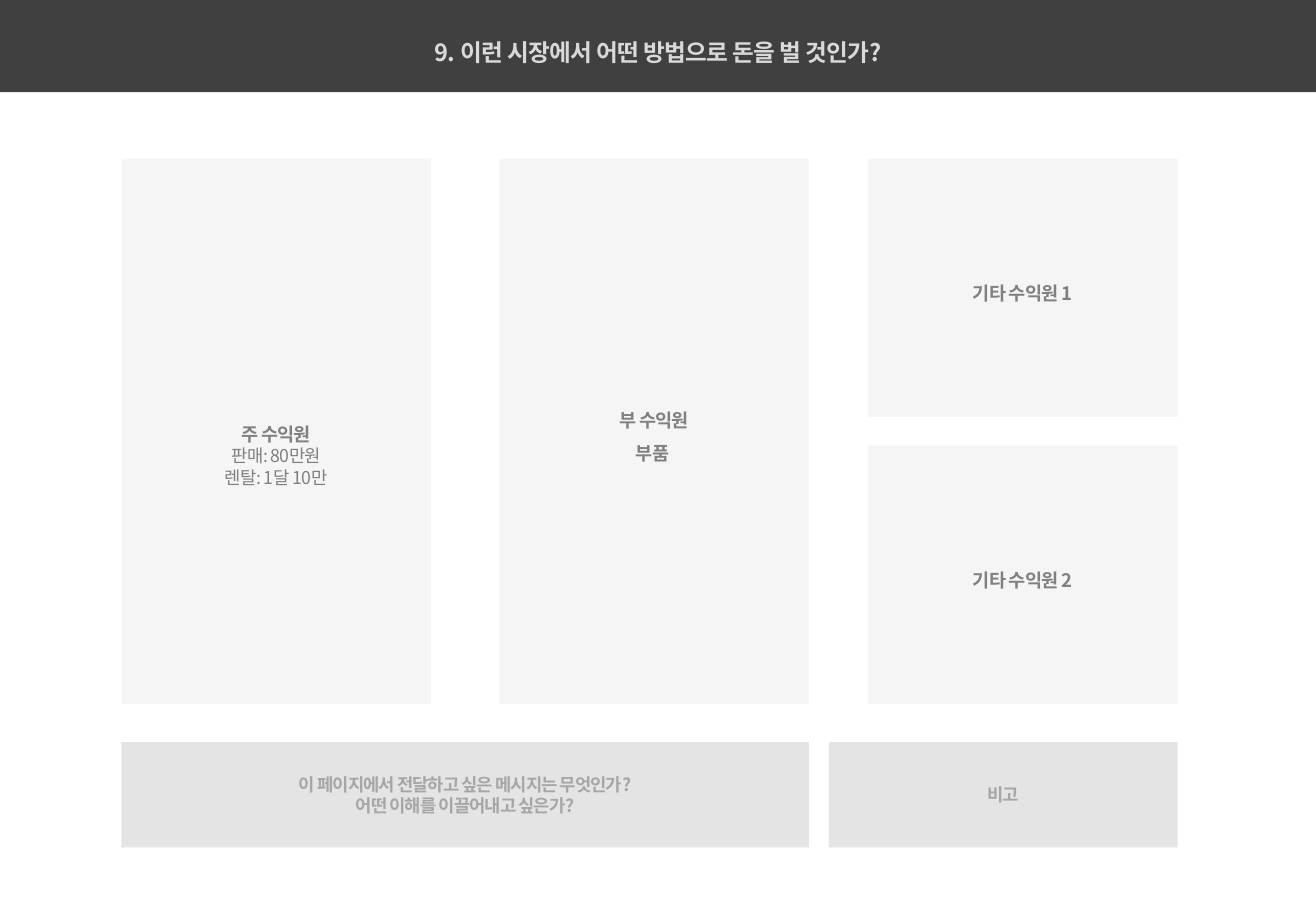
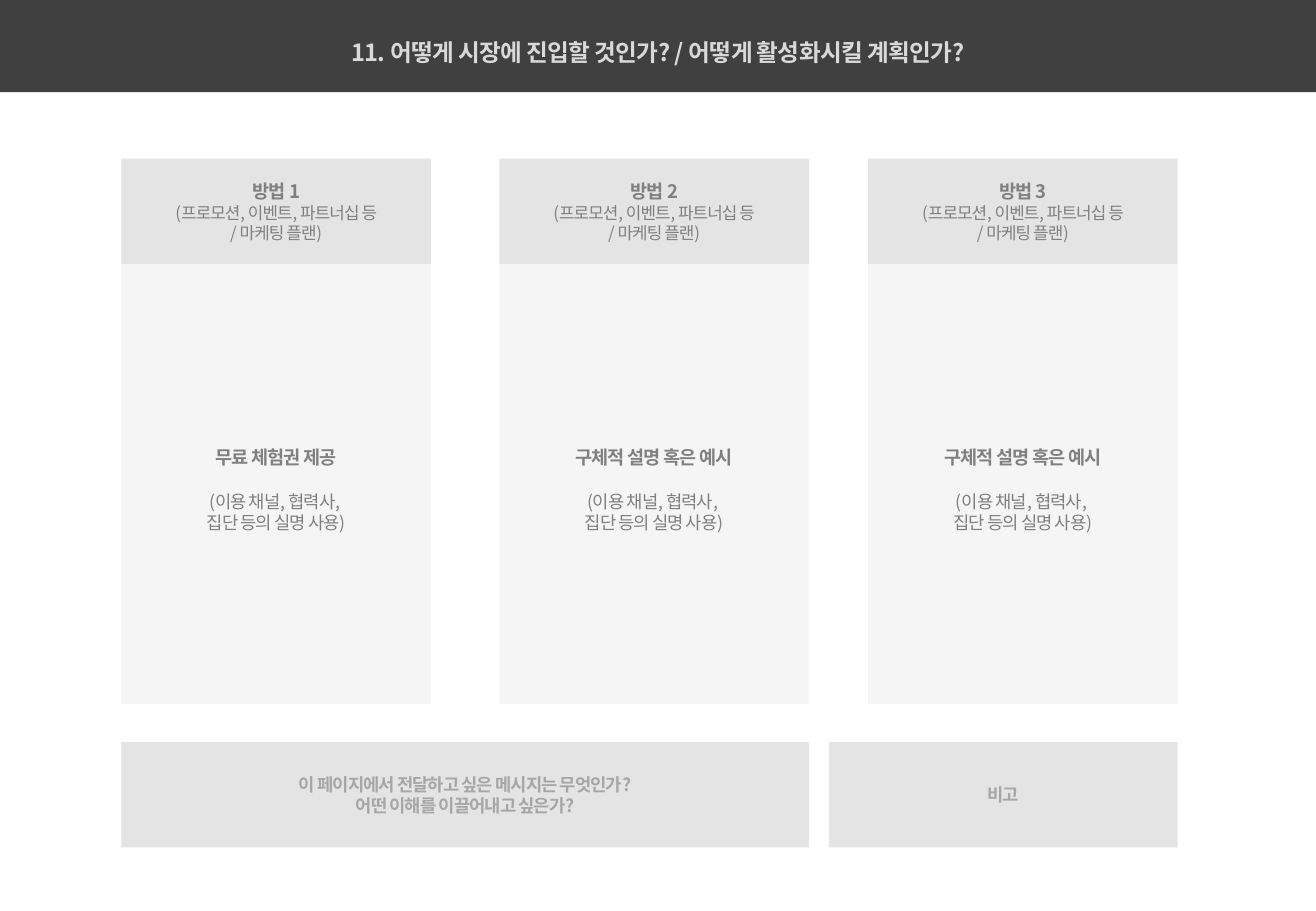
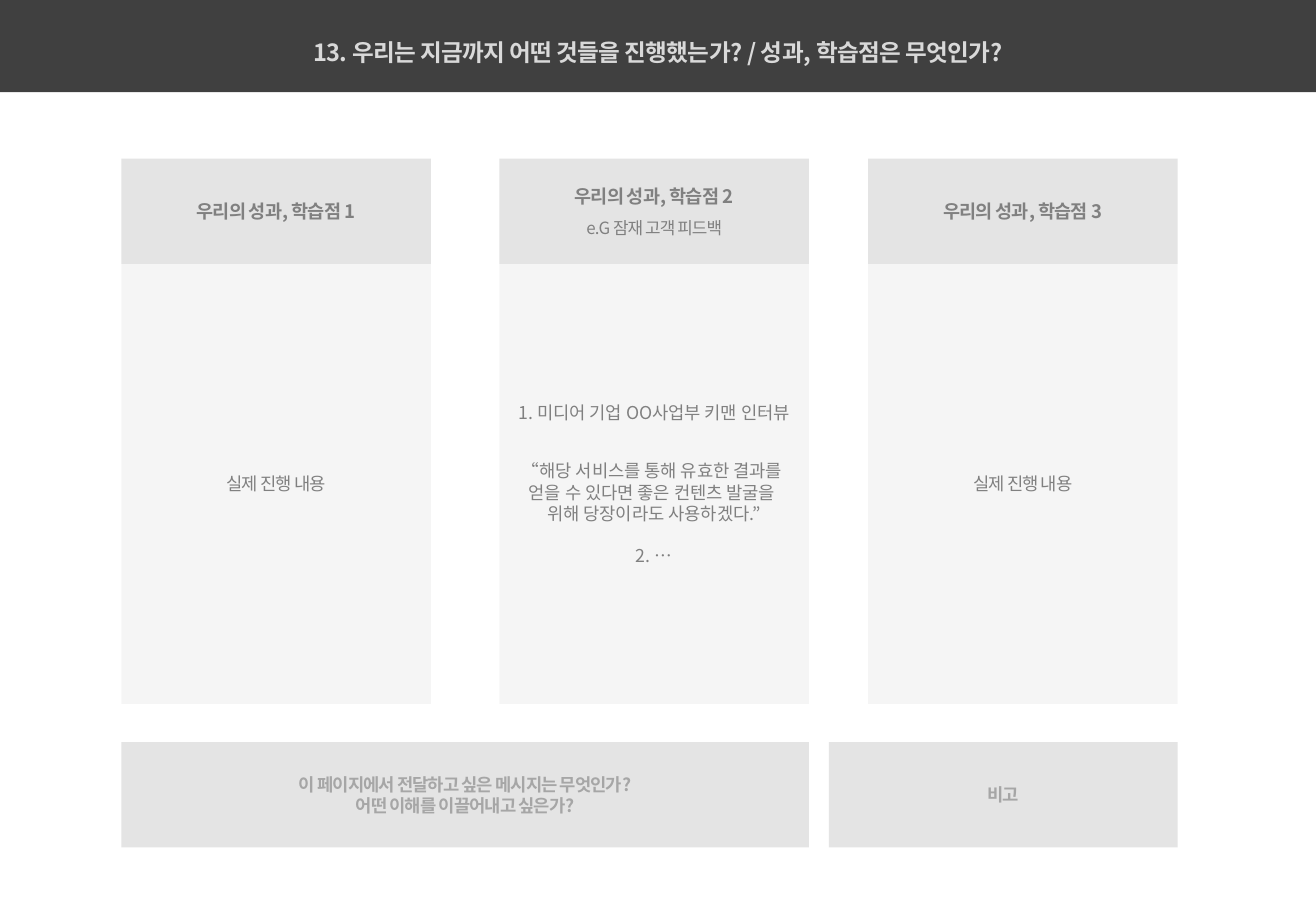
from dataclasses import dataclass

from lxml.etree import SubElement
from pptx import Presentation
from pptx.dml.color import RGBColor as Rgb
from pptx.enum.shapes import MSO_SHAPE as Preset
from pptx.enum.text import MSO_ANCHOR as Anchor, PP_ALIGN as Align
from pptx.oxml.ns import qn
from pptx.util import Cm, Pt


# Theme: colours, type styles and font shared by all slides
@dataclass(frozen=True)
class Style:
    size: float
    color: str
    bold: bool = False
    spacing: float = -0.5  # letter spacing in points


@dataclass(frozen=True)
class Theme:
    font: str = "Noto Sans CJK KR"
    band: str = "404040"
    strong: str = "D9D9D9"
    soft: str = "F2F2F2"
    opacity: int = 70
    title: Style = Style(14, "D9D9D9", True, -0.4)
    heading: Style = Style(11, "808080", True)
    body: Style = Style(10.5, "808080")
    quote: Style = Style(10.5, "808080", spacing=0)
    small: Style = Style(10, "808080")
    footer: Style = Style(10.5, "A6A6A6", True)


THEME = Theme()


@dataclass(frozen=True)
class Line:
    text: str
    style: Style
    leading: float = 1.0
    before: float = 0  # space above in points


@dataclass(frozen=True)
class Box:
    left: float
    top: float
    width: float
    height: float

    def place(self):
        return Cm(self.left), Cm(self.top), Cm(self.width), Cm(self.height)

    def split(self, upper_height, gap=0):
        """Cut into an upper and a lower box."""
        lower_top = self.top + upper_height + gap
        return (Box(self.left, self.top, self.width, upper_height),
                Box(self.left, lower_top, self.width,
                    self.top + self.height - lower_top))


# Page grid in centimetres
PAGE = Box(0, 0, 27.51, 19.05)
BAND = Box(0, 0, PAGE.width, 1.93)
COLUMNS = [Box(left, 3.32, 6.47, 11.4) for left in (2.54, 10.44, 18.15)]
FOOTER = Box(2.54, 15.52, 22.08, 2.2)
HEADER_HEIGHT = 2.2


def write(frame, lines):
    for index, line in enumerate(lines):
        paragraph = frame.paragraphs[0] if index == 0 else frame.add_paragraph()
        paragraph.alignment = Align.CENTER
        paragraph.line_spacing = line.leading
        if line.before:
            paragraph.space_before = Pt(line.before)
        for part_index, part in enumerate(line.text.split("\n")):
            if part_index:
                paragraph.add_line_break()
            run = paragraph.add_run()
            run.text = part
            font = run.font
            font.name = THEME.font
            font.size = Pt(line.style.size)
            font.bold = line.style.bold
            font.color.rgb = Rgb.from_string(line.style.color)
            properties = run._r.get_or_add_rPr()
            properties.set("spc", str(round(line.style.spacing * 100)))
            SubElement(properties, qn("a:ea"), typeface=THEME.font)


def panel(slide, box, color, lines=(), opacity=100, top_inset=0):
    """Flat rectangle with centred lines of text."""
    shape = slide.shapes.add_shape(Preset.RECTANGLE, *box.place())
    shape.shadow.inherit = False
    shape.line.fill.background()
    shape.fill.solid()
    shape.fill.fore_color.rgb = Rgb.from_string(color)
    if opacity < 100:
        tint = shape._element.spPr.find(qn("a:solidFill"))[0]
        SubElement(tint, qn("a:alpha"), val=str(opacity * 1000))
    frame = shape.text_frame
    frame.word_wrap = False
    frame.vertical_anchor = Anchor.MIDDLE
    frame.margin_left = frame.margin_right = frame.margin_bottom = 0
    frame.margin_top = Cm(top_inset)
    write(frame, lines)


def soft_panel(slide, box, lines, top_inset=0):
    panel(slide, box, THEME.soft, lines, THEME.opacity, top_inset)


def strong_panel(slide, box, lines):
    panel(slide, box, THEME.strong, lines, THEME.opacity)


# Regions
def title_band(slide, box, title):
    panel(slide, box, THEME.band)
    caption = Box(box.left, box.top + 0.66, box.width, 0.84)
    frame = slide.shapes.add_textbox(*caption.place()).text_frame
    frame.word_wrap = True
    write(frame, [Line(title, THEME.title)])


def footer_row(slide, box):
    message_width, remark_width = 14.37, 7.29
    message = Box(box.left, box.top, message_width, box.height)
    remark = Box(box.left + box.width - remark_width, box.top,
                 remark_width, box.height)
    strong_panel(slide, message, [
        Line("이 페이지에서 전달하고 싶은 메시지는 무엇인가?", THEME.footer),
        Line("어떤 이해를 이끌어내고 싶은가?", THEME.footer)])
    strong_panel(slide, remark, [Line("비고", THEME.footer)])


def headed_column(slide, box, header, content):
    header_box, content_box = box.split(HEADER_HEIGHT)
    strong_panel(slide, header_box, header)
    soft_panel(slide, content_box, content)


def new_slide(deck, title):
    slide = deck.slides.add_slide(deck.slide_layouts[6])
    title_band(slide, BAND, title)
    footer_row(slide, FOOTER)
    return slide


# Slides
def revenue_slide(deck):
    slide = new_slide(deck, "9. 이런 시장에서 어떤 방법으로 돈을 벌 것인가?")
    main, secondary, other = COLUMNS
    soft_panel(slide, main, [
        Line("주 수익원", THEME.heading, 1.5),
        Line("판매: 80만원", THEME.body),
        Line("렌탈: 1달 10만", THEME.body)], top_inset=0.77)
    soft_panel(slide, secondary, [
        Line("부 수익원", THEME.heading, 1.5),
        Line("부품 ", THEME.heading, 1.5)])
    for number, box in enumerate(other.split(5.4, gap=0.6), 1):
        soft_panel(slide, box, [
            Line(f"기타 수익원 {number}", THEME.heading, 1.5)])


def entry_slide(deck):
    slide = new_slide(
        deck, "11. 어떻게 시장에 진입할 것인가? / 어떻게 활성화시킬 계획인가?")
    methods = ["무료 체험권 제공"] + ["구체적 설명 혹은 예시"] * 2
    for number, (box, method) in enumerate(zip(COLUMNS, methods), 1):
        header = [Line(f"방법 {number}", THEME.heading),
                  Line("(프로모션, 이벤트, 파트너십 등", THEME.small),
                  Line("/ 마케팅 플랜)", THEME.small)]
        content = [Line(method, THEME.heading, 1.5),
                   Line("(이용 채널, 협력사, ", THEME.body, before=13),
                   Line("집단 등의 실명 사용)", THEME.body)]
        headed_column(slide, box, header, content)


def results_slide(deck):
    slide = new_slide(
        deck, "13. 우리는 지금까지 어떤 것들을 진행했는가? / 성과, 학습점은 무엇인가?")
    progress = [Line("실제 진행 내용", THEME.body)]
    interview = [
        Line("1. 미디어 기업 OO사업부 키맨 인터뷰", THEME.quote),
        Line("“해당 서비스를 통해 유효한 결과를 \n"
             "얻을 수 있다면 좋은 컨텐츠 발굴을 \n"
             "위해 당장이라도 사용하겠다.”", THEME.quote, before=22),
        Line("2. …", THEME.quote, before=12.5)]
    feedback = [Line("e.G 잠재 고객 피드백", THEME.small, 1.5)]
    columns = [([], progress), (feedback, interview), ([], progress)]
    for number, (box, (note, content)) in enumerate(zip(COLUMNS, columns), 1):
        header = [Line(f"우리의 성과, 학습점 {number}", THEME.heading)] + note
        headed_column(slide, box, header, content)


def main():
    deck = Presentation()
    deck.slide_width, deck.slide_height = Cm(PAGE.width), Cm(PAGE.height)
    for build in (revenue_slide, entry_slide, results_slide):
        build(deck)
    deck.save("out.pptx")


if __name__ == "__main__":
    main()
